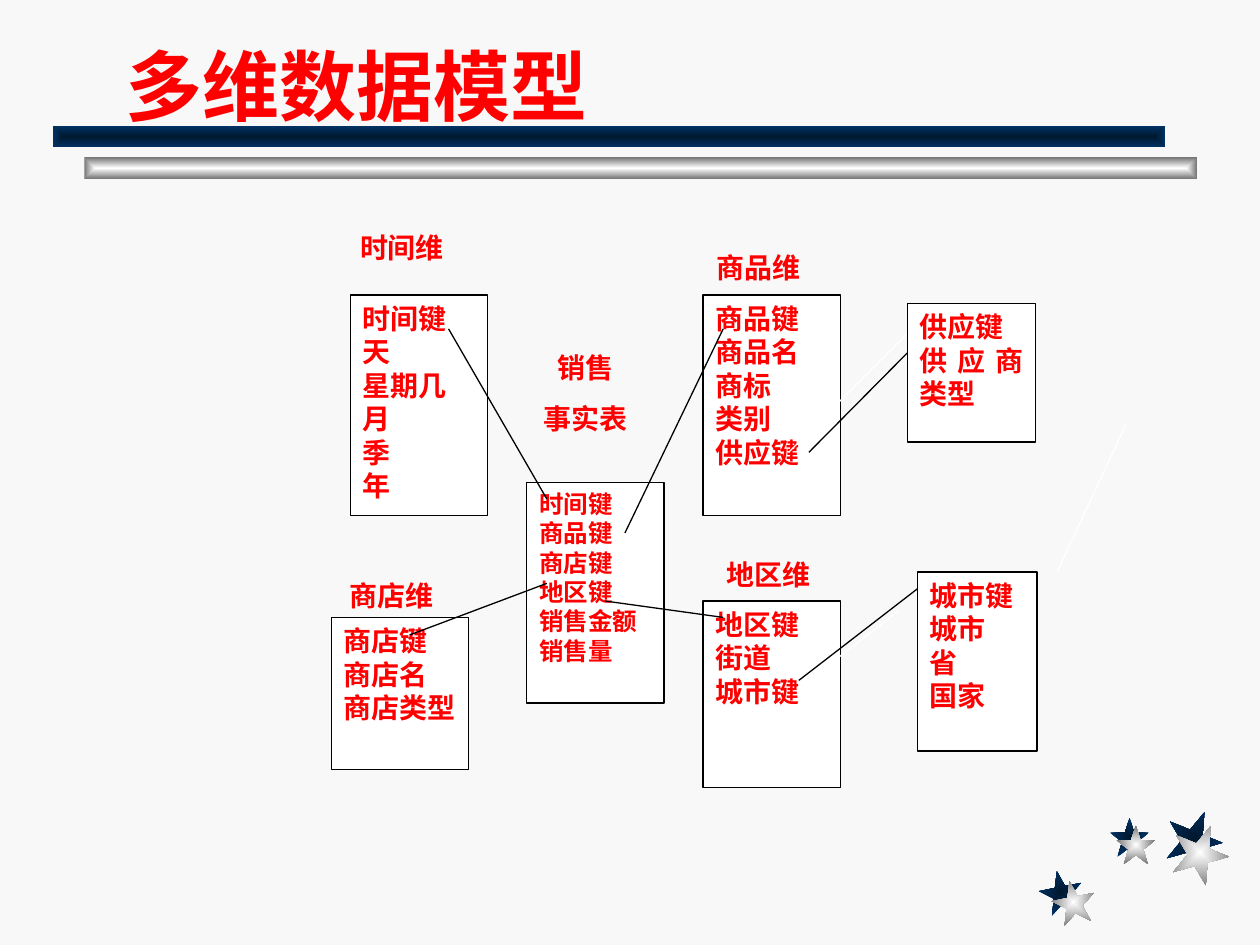
import pptx
import pptx.dml.color
import pptx.enum.shapes
import pptx.enum.text
import pptx.oxml.ns
import pptx.util
from lxml import etree

Inches = pptx.util.Inches
ALIGN = pptx.enum.text.PP_ALIGN
ANCHOR = pptx.enum.text.MSO_ANCHOR
RECTANGLE = pptx.enum.shapes.MSO_SHAPE.RECTANGLE

RED, BLACK, WHITE, PAPER = "FF0000", "000000", "FFFFFF", "F8F8F8"
NAVY_GLOW = ("00182F", "003366")
SILVER_GLOW = ("FFFFFF", "767676")
TABLE_FONT = {"name": "Times New Roman", "bold": True}
LABEL_FONT = {"name": "Arial", "bold": True, "size": pptx.util.Pt(16)}
TITLE_FONT = {"name": "Lato", "bold": True, "size": pptx.util.Pt(44)}

# Five-pointed star in a unit square
STAR = [(0, 0.38), (0.38, 0.38), (0.5, 0), (0.62, 0.38), (1, 0.38),
        (0.69, 0.62), (0.81, 1), (0.5, 0.76), (0.19, 1), (0.31, 0.62)]


def color(hex_text):
    return pptx.dml.color.RGBColor.from_string(hex_text)


class DiagramSlide:
    """Holds the shared style and the slide being drawn."""

    line_width = pptx.util.Pt(0.75)

    def __init__(self, slide):
        self.slide = slide
        self.shapes = slide.shapes
        slide.background.fill.solid()
        slide.background.fill.fore_color.rgb = color(PAPER)

    def set_lines(self, frame, lines, font, align, space_before=0):
        frame.word_wrap = True
        for index, line in enumerate(lines):
            paragraph = frame.add_paragraph() if index else frame.paragraphs[0]
            paragraph.alignment = align
            paragraph.space_before = pptx.util.Pt(space_before)
            run = paragraph.add_run()
            run.text = line
            run.font.color.rgb = color(RED)
            for attribute, value in font.items():
                setattr(run.font, attribute, value)

    def glow(self, shape, center_and_edge):
        """Fill a shape with a gradient running from its centre outwards."""
        shape.shadow.inherit = False
        shape.line.fill.background()
        shape.fill.gradient()
        for position, stop in enumerate(shape.fill.gradient_stops):
            stop.color.rgb = color(center_and_edge[position])
            stop.position = position
        qn = pptx.oxml.ns.qn
        gradient = shape._element.spPr.find(qn("a:gradFill"))
        linear = gradient.find(qn("a:lin"))
        radial = etree.Element(qn("a:path"), {"path": "rect"})
        etree.SubElement(radial, qn("a:fillToRect"),
                         {side: "50000" for side in "ltrb"})
        gradient.replace(linear, radial)

    def star(self, left, top, size, rotation, center_and_edge):
        points = [(Inches(left + x * size), Inches(top + y * size)) for x, y in STAR]
        builder = self.shapes.build_freeform(*points[0])
        builder.add_line_segments(points[1:], close=True)
        star = builder.convert_to_shape()
        star.rotation = rotation
        self.glow(star, center_and_edge)

    def bar(self, left, top, center_and_edge):
        bar = self.shapes.add_shape(RECTANGLE, Inches(left), Inches(top),
                                    Inches(8.83), Inches(0.17))
        self.glow(bar, center_and_edge)

    def title(self, text, left, top, width, height):
        frame = self.shapes.add_textbox(Inches(left), Inches(top), Inches(width),
                                        Inches(height)).text_frame
        frame.vertical_anchor = ANCHOR.BOTTOM
        frame.margin_left = Inches(0.25)
        self.set_lines(frame, [text], TITLE_FONT, ALIGN.LEFT)

    def table_box(self, fields, left, top, width, height, size=16):
        box = self.shapes.add_shape(RECTANGLE, Inches(left), Inches(top),
                                    Inches(width), Inches(height))
        box.shadow.inherit = False
        box.fill.solid()
        box.fill.fore_color.rgb = color(WHITE)
        box.line.color.rgb = color(BLACK)
        box.line.width = self.line_width
        box.text_frame.vertical_anchor = ANCHOR.TOP
        font = {**TABLE_FONT, "size": pptx.util.Pt(size)}
        self.set_lines(box.text_frame, fields, font, ALIGN.JUSTIFY)

    def label(self, lines, left, top, width=1.1, height=0.37):
        frame = self.shapes.add_textbox(Inches(left), Inches(top), Inches(width),
                                        Inches(height)).text_frame
        self.set_lines(frame, lines, LABEL_FONT, ALIGN.CENTER, space_before=10)
        frame.auto_size = pptx.enum.text.MSO_AUTO_SIZE.SHAPE_TO_FIT_TEXT

    def link(self, x1, y1, x2, y2, hex_text=BLACK):
        link = self.shapes.add_connector(
            pptx.enum.shapes.MSO_CONNECTOR.STRAIGHT,
            Inches(x1), Inches(y1), Inches(x2), Inches(y2))
        link.line.color.rgb = color(hex_text)
        link.line.width = self.line_width
        etree.SubElement(link._element.spPr, pptx.oxml.ns.qn("a:effectLst"))


def main():
    presentation = pptx.Presentation()
    presentation.slide_width = Inches(10)
    presentation.slide_height = Inches(7.5)
    model = DiagramSlide(presentation.slides.add_slide(presentation.slide_layouts[6]))

    # Corner stars: navy ones behind, silver ones in front
    star_layers = [
        (NAVY_GLOW, [(8.25, 6.91, 0.34, 349), (8.81, 6.49, 0.31, 0), (9.25, 6.43, 0.45, 22)]),
        (SILVER_GLOW, [(8.35, 6.99, 0.34, 349), (8.86, 6.55, 0.31, 0), (9.3, 6.54, 0.45, 22)]),
    ]
    for glow, stars in star_layers:
        for placement in stars:
            model.star(*placement, glow)

    # Heading with its two bars
    model.bar(0.67, 1.25, SILVER_GLOW)
    model.bar(0.42, 1, NAVY_GLOW)
    model.title("多维数据模型", 0.75, 0.17, 8.5, 0.92)

    # Fact table and its dimension tables
    width = 1.09
    model.table_box(["时间键", "天", "星期几", "月", "季", "年"], 2.78, 2.34, width, 1.75)
    model.table_box(["时间键", "商品键", "商店键", "地区键", "销售金额", "销售量"],
                    4.18, 3.83, width, 1.75, size=14)
    model.table_box(["商店键", "商店名", "商店类型"], 2.63, 4.9, width, 1.21)
    model.table_box(["地区键", "街道", "城市键"], 5.58, 4.77, width, 1.48)
    model.table_box(["商品键", "商品名", "商标", "类别", "供应键"], 5.58, 2.34, width, 1.75)

    # Links from the fact table to its dimensions
    for ends in [(3.56, 2.61, 4.34, 3.96), (3.25, 5.04, 4.34, 4.63),
                 (4.8, 4.77, 5.74, 4.9), (5.74, 2.61, 4.96, 4.23)]:
        model.link(*ends)

    # Table names
    model.label(["商店维"], 2.56, 4.54)
    model.label(["时间维"], 2.64, 1.78)
    model.label(["销售", "事实表"], 3.98, 2.73, 1.34, 0.77)
    model.label(["地区维"], 5.55, 4.38)
    model.label(["商品维"], 5.47, 1.94)

    # Links to the outer tables, with pale lines beneath
    for ends in [(7.28, 2.57, 6.26, 3.59), (8.94, 3.36, 8.39, 4.54),
                 (7.13, 4.85, 6.42, 5.4)]:
        model.link(*ends, WHITE)
    model.link(7.35, 4.62, 6.34, 5.4)
    model.link(7.43, 2.57, 6.42, 3.59)

    # Outer tables
    model.table_box(["城市键", "城市", "省", "国家"], 7.28, 4.54, 0.95, 1.42)
    model.table_box(["供应键", "供应商类型"], 7.2, 2.41, 1.02, 1.1)

    presentation.save("out.pptx")


if __name__ == "__main__":
    main()
